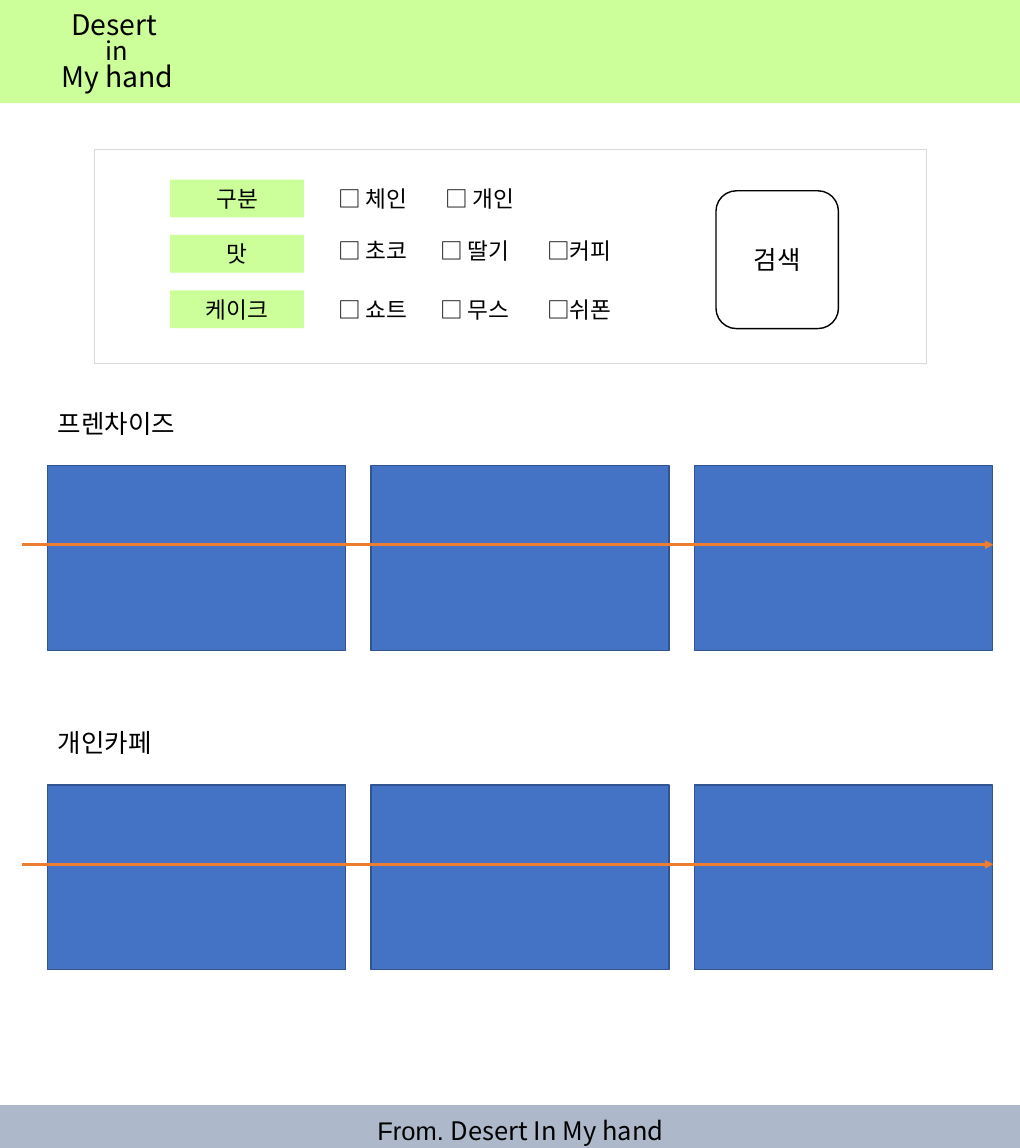
from dataclasses import dataclass
from typing import Optional

from lxml import etree
from pptx import Presentation
from pptx import util as u
from pptx.dml.color import RGBColor
from pptx.enum import shapes, text
from pptx.oxml import ns

LIME, BLACK, BLUE, NAVY = "CCFF99", "000000", "4472C4", "325491"
ORANGE, SLATE, SILVER = "ED7D31", "ADB9CA", "D9D9D9"
DISPLAY_FONT = "Noto Sans CJK KR"


@dataclass(frozen=True)
class Box:
    left: float
    top: float
    width: float
    height: float

    def lengths(self) -> tuple:
        return tuple(u.Cm(v) for v in (self.left, self.top, self.width, self.height))


@dataclass(frozen=True)
class Words:
    content: str
    size: float
    font: str = "Calibri"


@dataclass(frozen=True)
class Filter:
    label: str
    options: str
    label_top: float
    options_top: float


@dataclass(frozen=True)
class Section:
    heading: str
    top: float


FILTERS = [
    Filter("구분", "□ 체인\t □ 개인", 4.47, 4.47),
    Filter("맛", "□ 초코 \t□ 딸기\t □커피", 5.85, 5.77),
    Filter("케이크", "□ 쇼트\t□ 무스\t □쉬폰", 7.23, 7.24),
]
SECTIONS = [Section("프렌차이즈", 10.03), Section("개인카페", 17.98)]


def colour(value: str) -> RGBColor:
    return RGBColor.from_string(value)


def add_words(paragraph, words: Words) -> None:
    run = paragraph.add_run()
    run.text = words.content
    run.font.name = words.font
    run.font.size = u.Pt(words.size)
    run.font.color.rgb = colour(BLACK)


def add_box(slide, box: Box, fill: Optional[str] = None, line: Optional[str] = None,
            width: float = 1, words: Optional[Words] = None,
            kind=shapes.MSO_SHAPE.RECTANGLE) -> None:
    shape = slide.shapes.add_shape(kind, *box.lengths())
    shape.shadow.inherit = False
    if fill:
        shape.fill.solid()
        shape.fill.fore_color.rgb = colour(fill)
    else:
        shape.fill.background()
    if line:
        shape.line.color.rgb = colour(line)
        shape.line.width = u.Pt(width)
    else:
        shape.line.fill.background()
    if words:
        shape.text_frame.vertical_anchor = text.MSO_ANCHOR.MIDDLE
        paragraph = shape.text_frame.paragraphs[0]
        paragraph.alignment = text.PP_ALIGN.CENTER
        add_words(paragraph, words)


def add_label(slide, box: Box, words: Words) -> None:
    frame = slide.shapes.add_textbox(*box.lengths()).text_frame
    frame.word_wrap = True
    add_words(frame.paragraphs[0], words)


def add_arrow(slide, left: float, right: float, y: float) -> None:
    arrow = slide.shapes.add_connector(
        shapes.MSO_CONNECTOR.STRAIGHT, u.Cm(left), u.Cm(y), u.Cm(right), u.Cm(y))
    arrow.line.color.rgb = colour(ORANGE)
    arrow.line.width = u.Pt(2)
    etree.SubElement(arrow.line._get_or_add_ln(), ns.qn("a:tailEnd"), type="triangle")
    etree.SubElement(arrow.element.spPr, ns.qn("a:effectLst"))


def fill_placeholder(shape, box: Box, lines: list[list[Words]]) -> None:
    shape.left, shape.top, shape.width, shape.height = box.lengths()
    frame = shape.text_frame
    frame.word_wrap = True
    frame.auto_size = text.MSO_AUTO_SIZE.NONE
    frame.vertical_anchor = text.MSO_ANCHOR.MIDDLE
    for index, line in enumerate(lines):
        paragraph = frame.add_paragraph() if index else frame.paragraphs[0]
        paragraph.alignment = text.PP_ALIGN.CENTER
        paragraph.line_spacing = 0.8
        paragraph.space_before = u.Pt(0)
        for words in line:
            add_words(paragraph, words)
    shape.element.getparent().append(shape.element)


def add_section(slide, section: Section) -> None:
    add_label(slide, Box(1.19, section.top, 5.69, 1.04), Words(section.heading, 18))
    for column in range(3):
        card = Box(1.19 + 8.05 * column, section.top + 1.56, 7.42, 4.6)
        add_box(slide, card, BLUE, NAVY)
    add_arrow(slide, 0.56, 24.74, section.top + 3.53)


def add_filter(slide, item: Filter) -> None:
    add_box(slide, Box(4.24, item.label_top, 3.33, 0.94), LIME, words=Words(item.label, 16))
    add_label(slide, Box(8.17, item.options_top, 8.51, 0.94), Words(item.options, 16))


def main() -> None:
    presentation = Presentation()
    presentation.slide_width, presentation.slide_height = u.Inches(10), u.Inches(11.25)
    slide = presentation.slides.add_slide(presentation.slide_layouts[0])
    title, footer = slide.placeholders

    add_box(slide, Box(0, 0, 25.4, 2.57), LIME)
    fill_placeholder(title, Box(-0.38, 0.08, 6.6, 2.51), [
        [Words("Desert ", 20, DISPLAY_FONT)],
        [Words("in", 18, DISPLAY_FONT)],
        [Words("My hand", 20, DISPLAY_FONT)],
    ])

    add_box(slide, Box(2.34, 3.71, 20.73, 5.33), line=SILVER, width=0.5)
    for item in FILTERS:
        add_filter(slide, item)
    add_box(slide, Box(17.83, 4.75, 3.05, 3.43), line=BLACK, words=Words("검색", 18),
            kind=shapes.MSO_SHAPE.ROUNDED_RECTANGLE)

    for section in SECTIONS:
        add_section(slide, section)

    add_box(slide, Box(0, 27.51, 25.4, 1.27), SLATE)
    fill_placeholder(footer, Box(8.92, 27.58, 8.08, 1.24), [
        [Words("From. ", 18, "Arial"), Words("Desert In My hand", 18, DISPLAY_FONT)],
    ])

    presentation.save("out.pptx")


if __name__ == "__main__":
    main()
